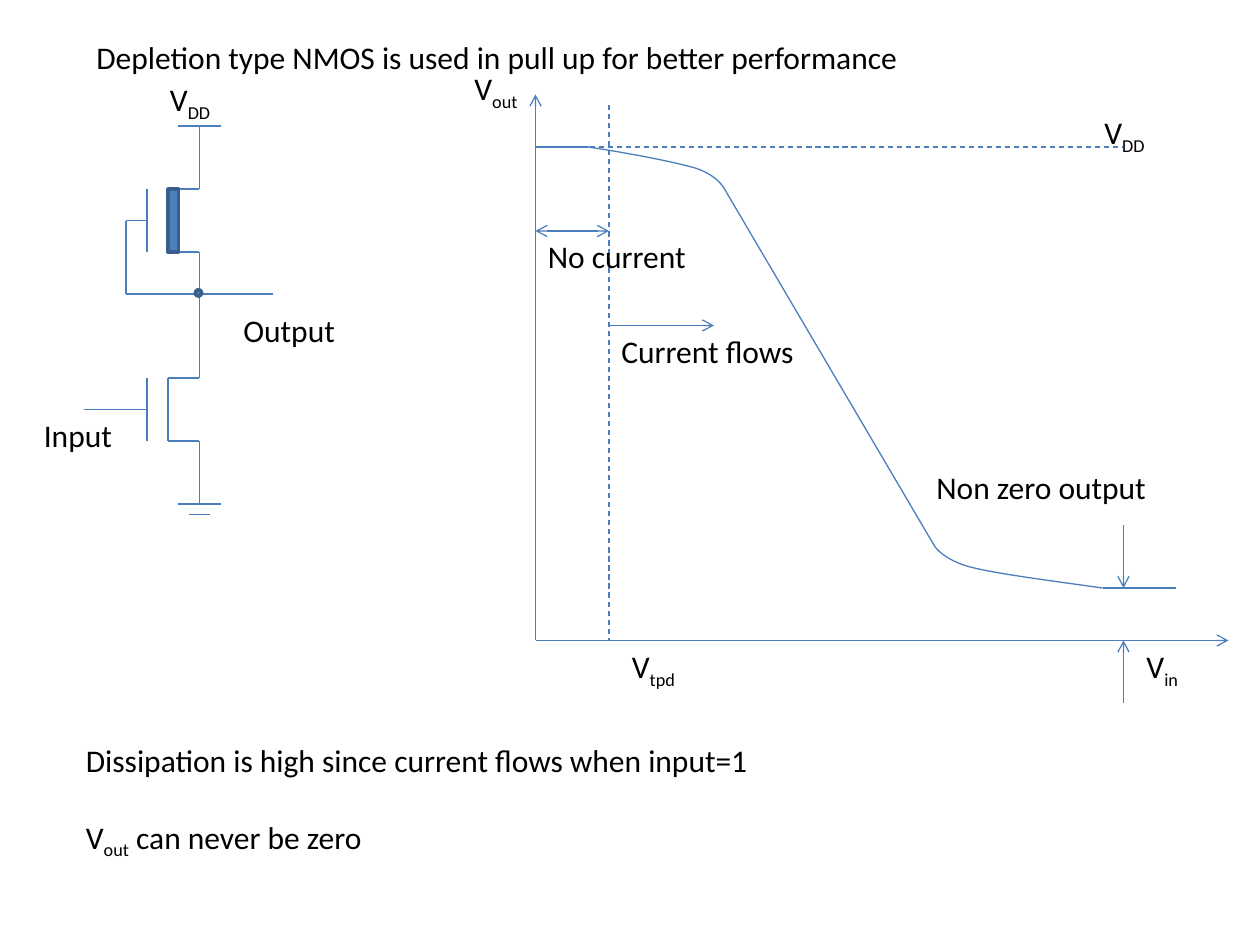
from lxml.etree import SubElement
from pptx import Presentation
from pptx.dml.color import RGBColor
from pptx.enum.dml import MSO_LINE
from pptx.enum.shapes import MSO_CONNECTOR, MSO_SHAPE
from pptx.enum.text import MSO_AUTO_SIZE
from pptx.oxml.ns import qn
from pptx.util import Inches, Pt

BLACK = RGBColor(0x00, 0x00, 0x00)
LINE_BLUE = RGBColor(0x4B, 0x7E, 0xBC)
FILL_BLUE = RGBColor(0x4F, 0x81, 0xBD)
EDGE_BLUE = RGBColor(0x3A, 0x5F, 0x8C)
COLUMNS, ROWS = 120, 90


class Diagram:
    """Draws on one slide; all lengths are cells of a 120 x 90 grid."""

    font, size = "Calibri", Pt(18)
    thin, thick = Pt(0.75), Pt(2)
    text_height = 4.8

    def __init__(self, prs):
        self.slide = prs.slides.add_slide(prs.slide_layouts[6])
        self.shapes = self.slide.shapes
        self.cell_w = prs.slide_width / COLUMNS
        self.cell_h = prs.slide_height / ROWS

    def x(self, columns):
        return round(columns * self.cell_w)

    def y(self, rows):
        return round(rows * self.cell_h)

    def box(self, left, top, width, height):
        return self.x(left), self.y(top), self.x(width), self.y(height)

    def line(self, x1, y1, x2, y2, dashed=False, head=False, tail=False):
        """Head is an arrow at the start, tail one at the end."""
        sp = self.shapes.add_connector(
            MSO_CONNECTOR.STRAIGHT, self.x(x1), self.y(y1), self.x(x2), self.y(y2))
        sp.line.color.rgb = LINE_BLUE
        sp.line.width = self.thin
        if dashed:
            sp.line.dash_style = MSO_LINE.DASH
        ln = sp.line._get_or_add_ln()
        for tag, wanted in (("a:headEnd", head), ("a:tailEnd", tail)):
            if wanted:
                SubElement(ln, qn(tag), type="arrow")
        SubElement(sp._element.spPr, qn("a:effectLst"))

    def solid(self, kind, left, top, width, height):
        sp = self.shapes.add_shape(kind, *self.box(left, top, width, height))
        sp.shadow.inherit = False
        sp.fill.solid()
        sp.fill.fore_color.rgb = FILL_BLUE
        sp.line.color.rgb = EDGE_BLUE
        sp.line.width = self.thick

    def curve(self, start, *segments, steps=12):
        """Open outline through cubic Bezier segments of three points each."""
        points, p0 = [], start
        for p1, p2, p3 in segments:
            for t in (i / steps for i in range(1, steps + 1)):
                u = 1 - t
                points.append([
                    u**3 * a + 3 * u * u * t * b + 3 * u * t * t * c + t**3 * d
                    for a, b, c, d in zip(p0, p1, p2, p3)])
            p0 = p3
        builder = self.shapes.build_freeform(self.x(start[0]), self.y(start[1]))
        builder.add_line_segments(
            [(self.x(px), self.y(py)) for px, py in points], close=False)
        sp = builder.convert_to_shape()
        sp.shadow.inherit = False
        sp.fill.background()
        sp.line.color.rgb = LINE_BLUE
        sp.line.width = self.thin

    def text(self, left, top, width, *paragraphs, height=text_height, gap=0):
        """Each paragraph is a tuple of runs; every second run is a subscript."""
        tf = self.shapes.add_textbox(*self.box(left, top, width, height)).text_frame
        tf.word_wrap = True
        tf.auto_size = MSO_AUTO_SIZE.SHAPE_TO_FIT_TEXT
        for i, runs in enumerate(paragraphs):
            p = tf.add_paragraph() if i else tf.paragraphs[0]
            if i:
                p.space_before = Pt(gap)
            for j, words in enumerate(runs):
                r = p.add_run()
                r.text = words
                r.font.name = self.font
                r.font.size = self.size
                r.font.color.rgb = BLACK
                if j % 2:
                    r.font._element.set("baseline", "-25000")

    def transistor(self, top):
        """Gate plate, drain and source leads of one NMOS, 18 rows high."""
        source = top + 6
        drain = top + 12
        self.line(14, source, 14, drain)
        self.line(19, top, 19, source)
        self.line(19, drain, 19, top + 18)
        for lead in (source, drain):
            self.line(16, lead, 19, lead)


def draw_inverter(d):
    d.transistor(12)
    d.solid(MSO_SHAPE.RECTANGLE, 16, 18, 1, 6)
    d.transistor(30)
    d.line(16, 36, 16, 42)

    d.line(17, 12, 21, 12)
    d.line(17, 48, 21, 48)
    d.line(18, 49, 20, 49)
    d.line(8, 39, 14, 39)
    d.line(12, 21, 14, 21)
    d.line(12, 21, 12, 28)
    d.line(12, 28, 26, 28)
    d.solid(MSO_SHAPE.OVAL, 18.6, 27.6, 0.6, 0.6)

    d.text(15, 7, 9, ("V", "DD"))
    d.text(3, 39, 13, ("Input",))
    d.text(22, 29, 13, ("Output",))


def draw_transfer_curve(d):
    origin_x, origin_y, threshold, vdd = 51, 61, 58, 14
    d.line(origin_x, 9, origin_x, origin_y, head=True)
    d.line(origin_x, origin_y, 117, origin_y, tail=True)
    d.line(origin_x, vdd, 107, vdd, dashed=True)
    d.line(threshold, 10, threshold, origin_y, dashed=True)

    d.line(origin_x, vdd, 56, vdd)
    d.curve((56, vdd), ((60, 14.6), (64.1, 15.4), (66.2, 16)),
            ((68.4, 16.7), (69, 18), (69, 18)))
    d.line(69, 18, 89, 52)
    d.curve((89, 52), ((89, 52), (89.8, 53.3), (92.4, 54)),
            ((95.2, 54.7), (100.1, 55.3), (105, 56)))
    d.line(105, 56, 112, 56)

    d.line(107, 50, 107, 56, tail=True)
    d.line(107, 67, 107, origin_y, tail=True)
    d.line(threshold, 31, 68, 31, tail=True)
    d.line(origin_x, 22, threshold, 22, head=True, tail=True)

    for left, top, sub in ((104, 10.2, "DD"), (44, 6, "out"),
                           (108, origin_y, "in"), (59, origin_y, "tpd")):
        d.text(left, top, 9, ("V", sub))
    d.text(88, 44, 26, ("Non zero output",))
    d.text(threshold, 31, 25, ("Current flows",))
    d.text(origin_x, 22, 23, ("No current",))


def main():
    prs = Presentation()
    prs.slide_width, prs.slide_height = Inches(10), Inches(7.5)
    d = Diagram(prs)
    d.text(8, 3, 104, ("Depletion type NMOS is used in pull up for better performance",))
    draw_inverter(d)
    draw_transfer_curve(d)
    d.text(7, 70, 107, ("Dissipation is high since current flows when input=1",),
           ("V", "out", " can never be zero"), height=12.1, gap=22)
    prs.save("out.pptx")


if __name__ == "__main__":
    main()
